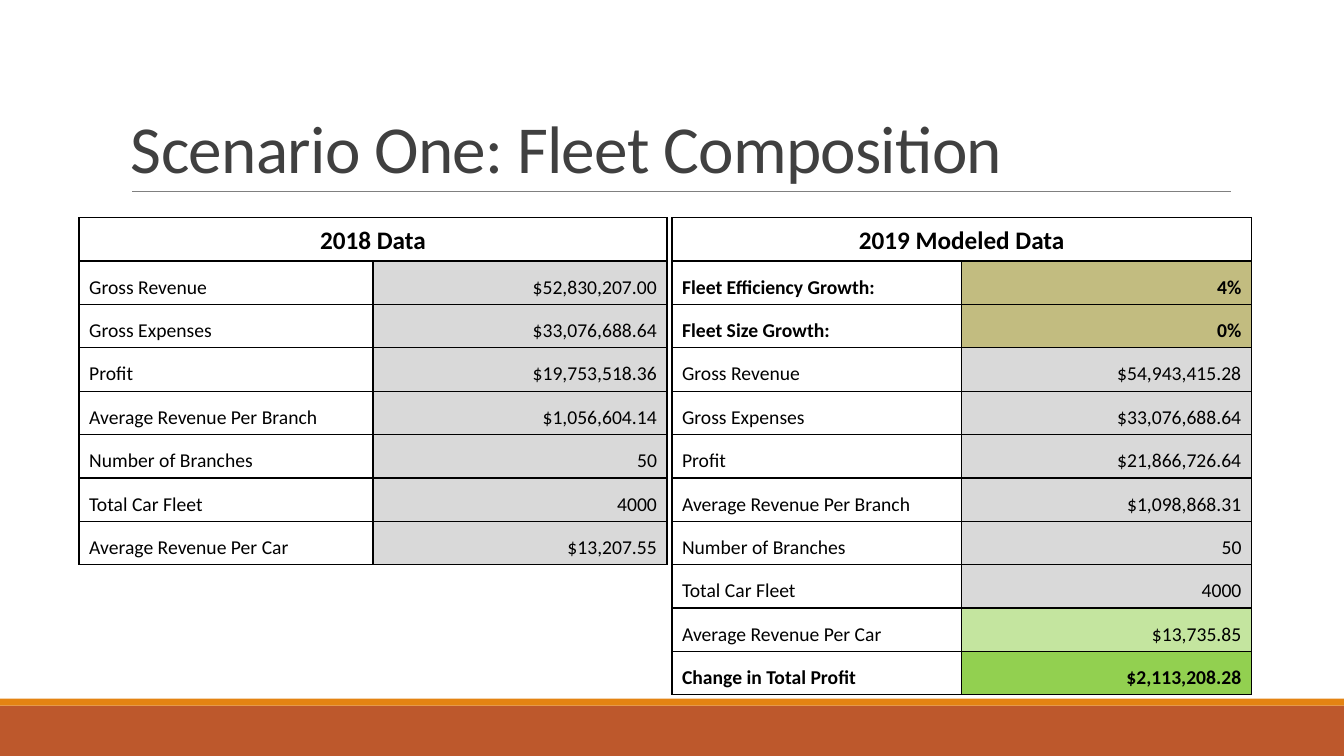
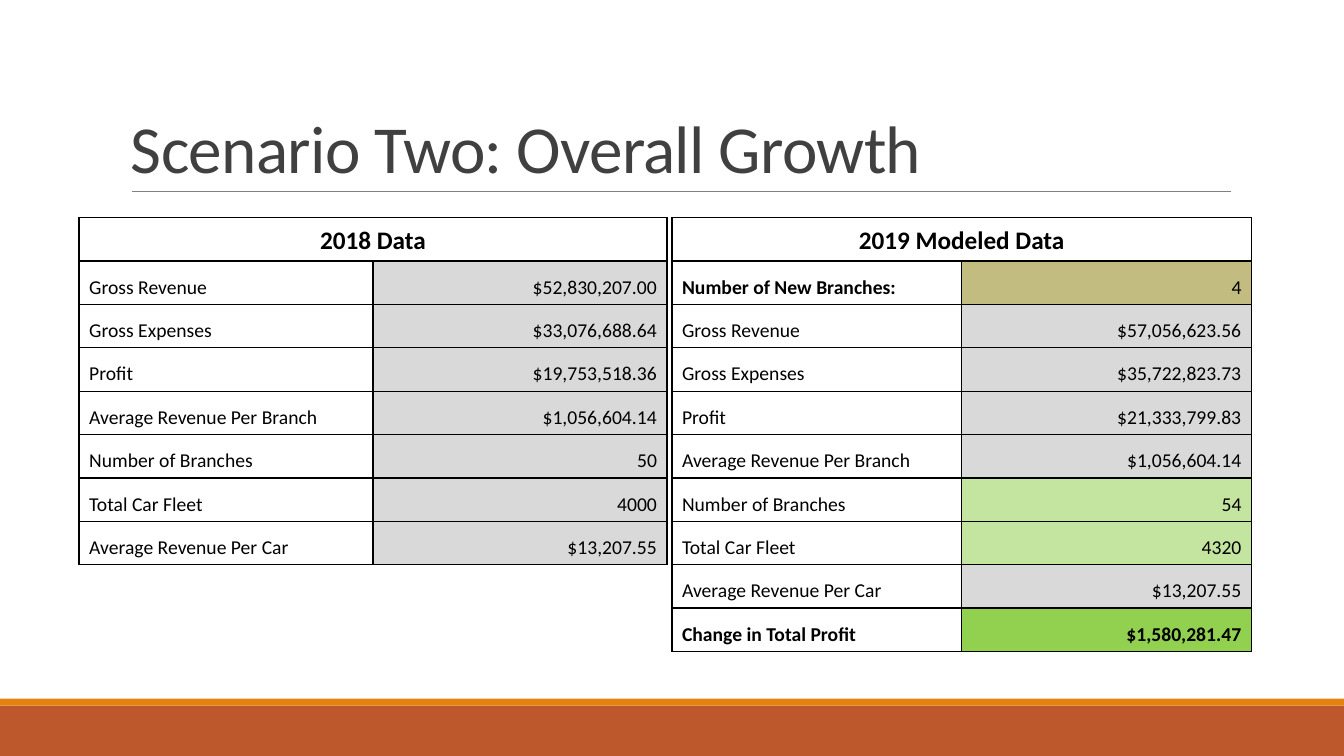
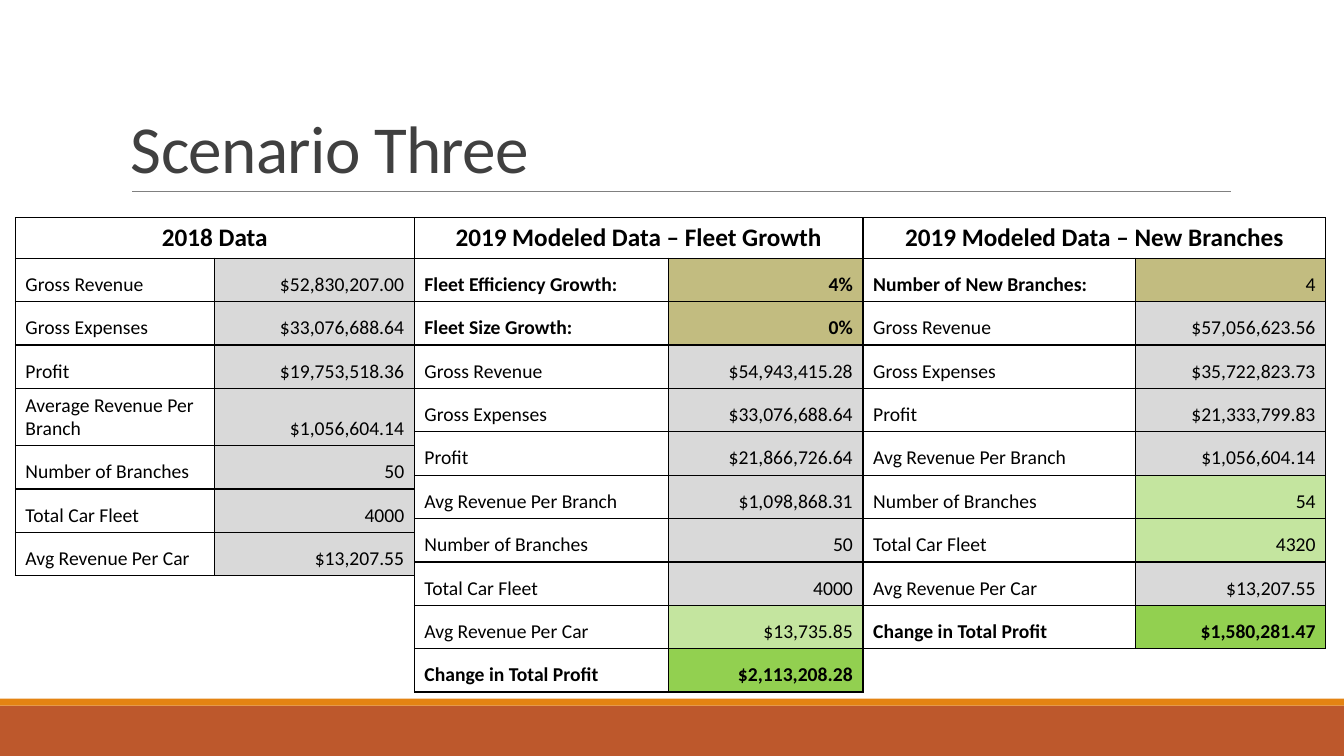
"""Three scenario slides comparing 2018 fleet data with 2019 modeled data."""
from lxml import etree
from pptx import Presentation
from pptx import util as u
from pptx.dml.color import RGBColor
from pptx.enum import shapes, text
from pptx.oxml.ns import qn

PX = 6350
FONT = "Calibri"
COLOURS = {
    "band": "BD582C", "stripe": "E48312", "rule": "808080",
    "title": "404040", "text": "000000", "border": "000000",
    "plain": "D9D9D9", "input": "C2BC80", "changed": "C4E59F", "total": "92D050",
}
STYLES = {
    "plain": ("plain", False, False),
    "changed": ("changed", False, False),
    "rate": ("input", True, True),
    "count": ("input", True, False),
    "total": ("total", True, True),
}
TABLE_TOP, HEADER_HEIGHT, ROW_HEIGHT = 311, 58, 62

BASE = [
    ("Gross Revenue", "$52,830,207.00", "plain"),
    ("Gross Expenses", "$33,076,688.64", "plain"),
    ("Profit", "$19,753,518.36", "plain"),
    ("Average Revenue Per Branch", "$1,056,604.14", "plain"),
    ("Number of Branches", "50", "plain"),
    ("Total Car Fleet", "4000", "plain"),
    ("Average Revenue Per Car", "$13,207.55", "plain"),
]
FLEET = [
    ("Fleet Efficiency Growth:", "4%", "rate"),
    ("Fleet Size Growth:", "0%", "rate"),
    ("Gross Revenue", "$54,943,415.28", "plain"),
    ("Gross Expenses", "$33,076,688.64", "plain"),
    ("Profit", "$21,866,726.64", "plain"),
    ("Average Revenue Per Branch", "$1,098,868.31", "plain"),
    ("Number of Branches", "50", "plain"),
    ("Total Car Fleet", "4000", "plain"),
    ("Average Revenue Per Car", "$13,735.85", "changed"),
    ("Change in Total Profit", "$2,113,208.28", "total"),
]
BRANCHES = [
    ("Number of New Branches:", "4", "count"),
    ("Gross Revenue", "$57,056,623.56", "plain"),
    ("Gross Expenses", "$35,722,823.73", "plain"),
    ("Profit", "$21,333,799.83", "plain"),
    ("Average Revenue Per Branch", "$1,056,604.14", "plain"),
    ("Number of Branches", "54", "changed"),
    ("Total Car Fleet", "4320", "changed"),
    ("Average Revenue Per Car", "$13,207.55", "plain"),
    ("Change in Total Profit", "$1,580,281.47", "total"),
]
SHORT_BASE, SHORT_FLEET, SHORT_BRANCHES = (
    [(label.replace("Average", "Avg") if label not in kept else label, value, kind)
     for label, value, kind in rows]
    for rows, kept in ((BASE, ["Average Revenue Per Branch"]), (FLEET, []), (BRANCHES, []))
)

SLIDES = [
    ("Scenario One: Fleet Composition", HEADER_HEIGHT + 4, [
        ("2018 Data", 113, (420, 420), BASE),
        ("2019 Modeled Data", 960, (414, 414), FLEET),
    ]),
    ("Scenario Two: Overall Growth", HEADER_HEIGHT + 4, [
        ("2018 Data", 113, (420, 420), BASE),
        ("2019 Modeled Data", 960, (414, 414), BRANCHES),
    ]),
    ("Scenario Three", HEADER_HEIGHT, [
        ("2018 Data", 22, (285, 285), SHORT_BASE),
        ("2019 Modeled Data – New Branches", 1233, (389, 272), SHORT_BRANCHES),
        ("2019 Modeled Data – Fleet Growth", 592, (363, 278), SHORT_FLEET),
    ]),
]


def write(frame, words, size, colour, bold=False, align=text.PP_ALIGN.LEFT):
    frame.text = words
    para = frame.paragraphs[0]
    para.alignment = align
    span = para.runs[0]
    span.font.name = FONT
    span.font.size = u.Pt(size)
    span.font.bold = bold
    span.font.color.rgb = RGBColor.from_string(COLOURS[colour])
    return para


def style_cell(cell, fill=None):
    cell.vertical_anchor = text.MSO_ANCHOR.BOTTOM
    props = cell._tc.get_or_add_tcPr()
    for side in ("a:lnL", "a:lnR", "a:lnT", "a:lnB"):
        edge = etree.SubElement(props, qn(side), w=str(u.Pt(1)))
        paint = etree.SubElement(edge, qn("a:solidFill"))
        etree.SubElement(paint, qn("a:srgbClr"), val=COLOURS["border"])
    if fill:
        cell.fill.solid()
        cell.fill.fore_color.rgb = RGBColor.from_string(COLOURS[fill])
    else:
        cell.fill.background()


deck = Presentation()
deck.slide_width, deck.slide_height = 1920 * PX, 1080 * PX

for heading, header_height, tables in SLIDES:
    page = deck.slides.add_slide(deck.slide_layouts[6])

    for name, top, height in (("band", 1008, 72), ("stripe", 998, 10)):
        bar = page.shapes.add_shape(shapes.MSO_SHAPE.RECTANGLE, 0, top * PX, 1920 * PX, height * PX)
        bar.shadow.inherit = False
        bar.fill.solid()
        bar.fill.fore_color.rgb = RGBColor.from_string(COLOURS[name])
        bar.line.fill.background()

    rule = page.shapes.add_connector(
        shapes.MSO_CONNECTOR.STRAIGHT, 189 * PX, 274 * PX, 1758 * PX, 274 * PX)
    rule.line.color.rgb = RGBColor.from_string(COLOURS["rule"])
    rule.line.width = u.Pt(0.5)
    etree.SubElement(rule._element.spPr, qn("a:effectLst"))

    box = page.shapes.add_textbox(173 * PX, 45 * PX, 1584 * PX, 229 * PX)
    box.text_frame.word_wrap = True
    box.text_frame.vertical_anchor = text.MSO_ANCHOR.BOTTOM
    para = write(box.text_frame, heading, 48, "title")
    para.line_spacing = 0.85
    para.runs[0]._r.get_or_add_rPr().set("spc", "-50")

    for caption, left, widths, rows in tables:
        table = page.shapes.add_table(
            len(rows) + 1, 2, left * PX, TABLE_TOP * PX, sum(widths) * PX,
            (header_height + len(rows) * ROW_HEIGHT) * PX).table
        table.first_row = table.horz_banding = False
        for column, width in zip(table.columns, widths):
            column.width = width * PX
        for index, row in enumerate(table.rows):
            row.height = (ROW_HEIGHT if index else header_height) * PX

        header = table.cell(0, 0)
        header.merge(table.cell(0, 1))
        for cell in (header, table.cell(0, 1)):
            style_cell(cell)
        write(header.text_frame, caption, 18, "text", True, text.PP_ALIGN.CENTER)

        for index, (label, value, kind) in enumerate(rows, 1):
            fill, label_bold, value_bold = STYLES[kind]
            label_cell, value_cell = table.cell(index, 0), table.cell(index, 1)
            style_cell(label_cell)
            style_cell(value_cell, fill)
            write(label_cell.text_frame, label, 14, "text", label_bold)
            write(value_cell.text_frame, value, 14, "text", value_bold, text.PP_ALIGN.RIGHT)

deck.save("out.pptx")
